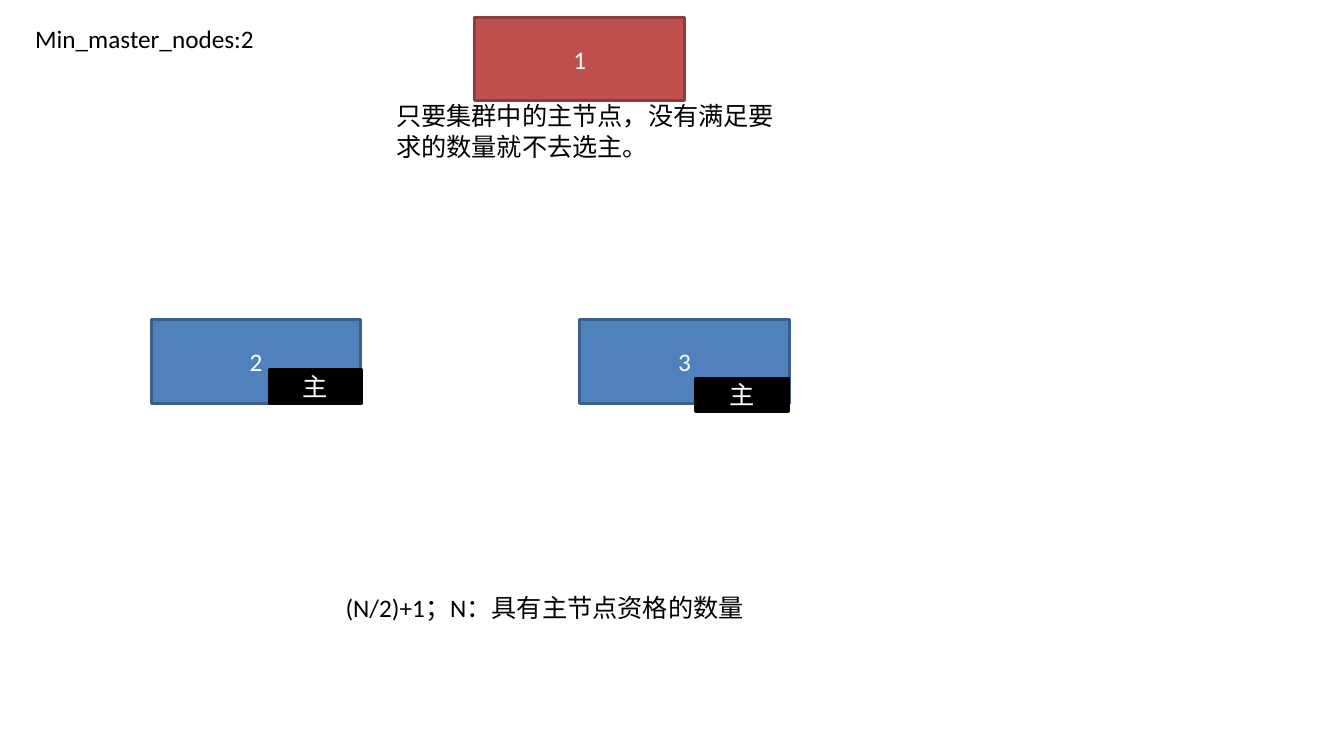
from pptx import Presentation
from pptx.dml.color import RGBColor
from pptx.enum.shapes import MSO_SHAPE
from pptx.enum.text import MSO_ANCHOR, MSO_AUTO_SIZE, PP_ALIGN
from pptx.util import Inches, Pt

NODE, BADGE = (2.08, 0.83), (0.92, 0.33)
RED, BLUE, BLACK = ("C0504D", "8E3B39"), ("4F81BD", "3A5F8C"), ("000000", "000000")

# text, left, top, size, (fill, line)
BOXES = [
    ("1", 4.71, 0.17, NODE, RED),
    ("2", 1.5, 3.17, NODE, BLUE),
    ("3", 5.75, 3.17, NODE, BLUE),
    ("主", 2.67, 3.67, BADGE, BLACK),
    ("主", 6.9, 3.75, BADGE, BLACK),
]
# text, left, top, width, height
NOTES = [
    ("Min_master_nodes:2", 0.25, 0.18, 3.58, 0.4),
    ("只要集群中的主节点，没有满足要求的数量就不去选主。", 3.83, 0.95, 4.17, 0.71),
    ("(N/2)+1；N：具有主节点资格的数量", 3.33, 5.83, 6.5, 0.4),
]
FONT = {"name": "Calibri", "size": Pt(18)}
BOX_FRAME = {"word_wrap": True, "vertical_anchor": MSO_ANCHOR.MIDDLE}
NOTE_FRAME = {"word_wrap": True, "auto_size": MSO_AUTO_SIZE.SHAPE_TO_FIT_TEXT}


def paint(color, code):
    color.rgb = RGBColor.from_string(code)


def style(item, values):
    for key, value in values.items():
        setattr(item, key, value)


def write(shape, text, frame, align, code):
    style(shape.text_frame, frame)
    para = shape.text_frame.paragraphs[0]
    para.alignment = align
    run = para.add_run()
    run.text = text
    style(run.font, FONT)
    paint(run.font.color, code)


def add_box(slide, text, left, top, size, colors):
    shape = slide.shapes.add_shape(
        MSO_SHAPE.RECTANGLE, *map(Inches, (left, top, *size)))
    shape.shadow.inherit = False
    shape.fill.solid()
    paint(shape.fill.fore_color, colors[0])
    paint(shape.line.color, colors[1])
    shape.line.width = Pt(2)
    write(shape, text, BOX_FRAME, PP_ALIGN.CENTER, "FFFFFF")


def add_note(slide, text, *place):
    shape = slide.shapes.add_textbox(*map(Inches, place))
    write(shape, text, NOTE_FRAME, PP_ALIGN.LEFT, "000000")


def main():
    deck = Presentation()
    deck.slide_width, deck.slide_height = Inches(13.33), Inches(7.5)
    slide = deck.slides.add_slide(deck.slide_layouts[6])
    for box in BOXES:
        add_box(slide, *box)
    for note in NOTES:
        add_note(slide, *note)
    deck.save("out.pptx")


if __name__ == "__main__":
    main()
